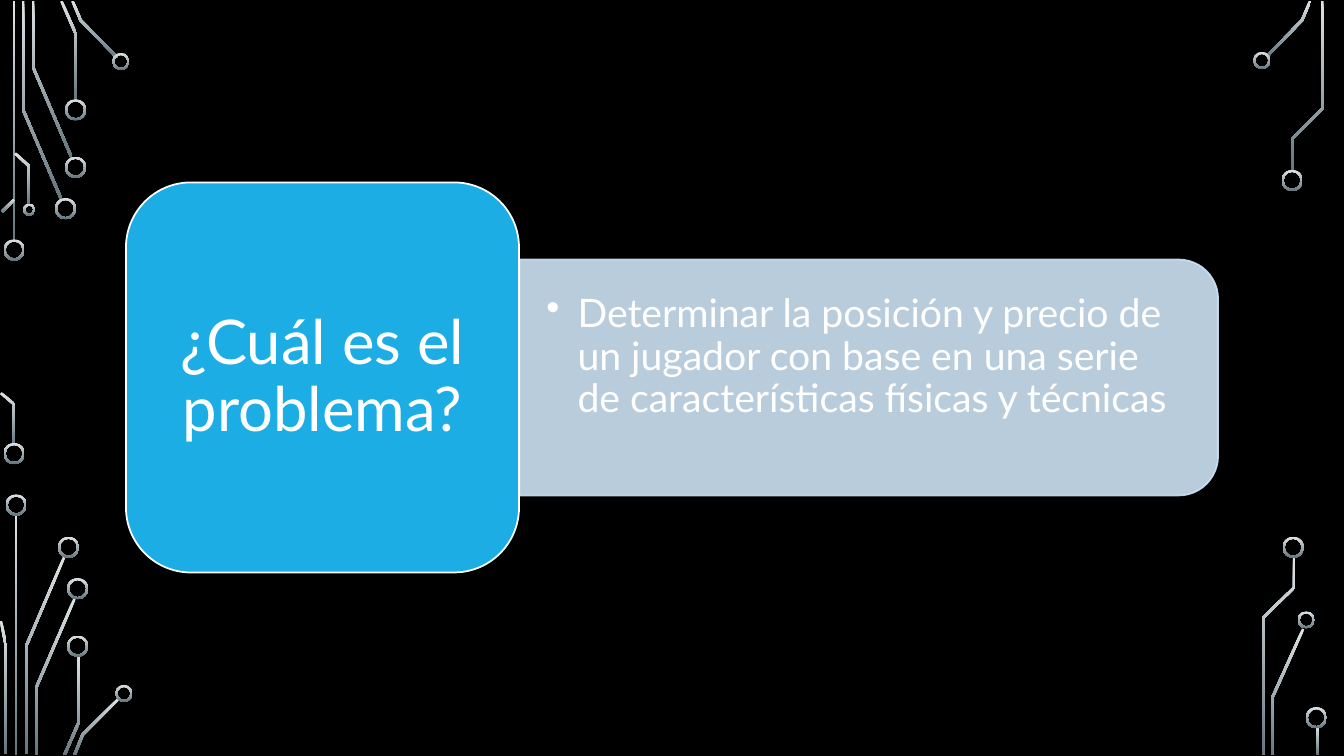
from dataclasses import dataclass
from math import hypot

from lxml import etree
from pptx import Presentation
from pptx.dml.color import RGBColor
from pptx.enum.shapes import MSO_SHAPE
from pptx.enum.text import MSO_ANCHOR, PP_ALIGN
from pptx.oxml.ns import qn
from pptx.util import Cm, Pt

RECTANGLE = MSO_SHAPE.RECTANGLE
DONUT = MSO_SHAPE.DONUT
ROUNDED = MSO_SHAPE.ROUNDED_RECTANGLE
ROUNDED_TOP = MSO_SHAPE.ROUND_2_SAME_RECTANGLE
MIDDLE = MSO_ANCHOR.MIDDLE
LEFT = PP_ALIGN.LEFT
CENTER = PP_ALIGN.CENTER
CM_PER_UNIT = 2.54


@dataclass(frozen=True)
class Theme:
    font: str = "Lato"
    background: str = "000000"
    text: str = "FFFFFF"
    card: str = "1CADE4"
    panel: str = "CDE3F5"
    panel_opacity: int = 90
    circuit_light: str = "DFE3E5"
    circuit_dark: str = "65757D"
    question_size: int = 44
    answer_size: int = 28
    outline: float = 1.25


@dataclass(frozen=True)
class Frame:
    left: float
    top: float
    width: float
    height: float


@dataclass(frozen=True)
class Ring:
    x: float
    y: float
    diameter: float = 0.21


@dataclass(frozen=True)
class Trace:
    points: tuple[tuple[float, float], ...]


THEME = Theme()
TRACE_WIDTH = 0.025
RING_THICKNESS = 0.02

RINGS = (
    Ring(0.14, 2.48), Ring(0.14, 4.5), Ring(0.65, 2.07), Ring(0.75, 1.66),
    Ring(0.75, 1.09), Ring(1.2, 0.61, 0.17), Ring(0.29, 2.08, 0.12),
    Ring(0.16, 5.01), Ring(0.68, 5.43), Ring(0.77, 5.84), Ring(0.77, 6.41),
    Ring(1.23, 6.88, 0.17), Ring(12.52, 0.6, 0.17), Ring(12.82, 1.79),
    Ring(12.96, 6.15, 0.17), Ring(12.83, 5.43), Ring(13.06, 7.12),
)

TRACES = (
    Trace(((0.14, 0.01), (0.14, 2.4))),
    Trace(((0.23, 0.01), (0.23, 1.09), (0.61, 1.98))),
    Trace(((0.33, 0.01), (0.33, 0.67), (0.71, 1.56))),
    Trace(((0.61, 0.01), (0.75, 0.33), (0.75, 1))),
    Trace(((0.72, 0.01), (0.8, 0.2), (1.16, 0.57))),
    Trace(((0.02, 2.1), (0.14, 1.98))),
    Trace(((0.01, 3.9), (0.14, 4.01), (0.14, 4.41))),
    Trace(((0.15, 1.52), (0.29, 1.65), (0.29, 2.03))),
    Trace(((0.16, 5.1), (0.16, 7.49))),
    Trace(((0.64, 5.52), (0.26, 6.41), (0.26, 7.48))),
    Trace(((0.01, 6.16), (0.06, 6.41), (0.06, 7.48))),
    Trace(((0.74, 5.94), (0.36, 6.82), (0.36, 7.49))),
    Trace(((0.78, 6.5), (0.78, 7.17), (0.64, 7.49))),
    Trace(((1.18, 6.93), (0.82, 7.29), (0.74, 7.49))),
    Trace(((12.57, 0.56), (12.92, 0.2), (13, 0.01))),
    Trace(((12.93, 6.24), (12.62, 6.93), (12.62, 7.49))),
    Trace(((13.12, 0.01), (13.12, 1.08), (12.82, 1.38), (12.82, 1.69))),
    Trace(((12.84, 5.52), (12.84, 5.83), (12.53, 6.13), (12.53, 7.49))),
    Trace(((13.07, 7.21), (13.07, 7.49))),
)


def length(units: float) -> int:
    return Cm(units * CM_PER_UNIT)


def color(value: str) -> RGBColor:
    return RGBColor.from_string(value)


def place(frame: Frame) -> tuple[int, int, int, int]:
    return (length(frame.left), length(frame.top),
            length(frame.width), length(frame.height))


def paint_circuit(shape) -> None:
    shape.shadow.inherit = False
    shape.line.fill.background()
    shape.fill.gradient()
    shape.fill.gradient_angle = 270
    for stop, shade in zip(shape.fill.gradient_stops,
                           (THEME.circuit_light, THEME.circuit_dark)):
        stop.color.rgb = color(shade)


def draw_ring(page, ring: Ring) -> None:
    radius = ring.diameter / 2
    shape = page.shapes.add_shape(DONUT, *place(Frame(
        ring.x - radius, ring.y - radius, ring.diameter, ring.diameter)))
    shape.adjustments[0] = RING_THICKNESS / ring.diameter
    paint_circuit(shape)


def ribbon(points: tuple[tuple[float, float], ...]) -> list[tuple[int, int]]:
    normals = []
    for (x1, y1), (x2, y2) in zip(points, points[1:]):
        span = hypot(x2 - x1, y2 - y1)
        normals.append(((y1 - y2) / span, (x2 - x1) / span))
    sides = ([], [])
    for (x, y), before, after in zip(points, normals[:1] + normals,
                                     normals + normals[-1:]):
        sum_x, sum_y = before[0] + after[0], before[1] + after[1]
        scale = TRACE_WIDTH / (sum_x ** 2 + sum_y ** 2)
        for side, sign in zip(sides, (1, -1)):
            side.append((length(x + sign * sum_x * scale),
                         length(y + sign * sum_y * scale)))
    return sides[0] + sides[1][::-1]


def draw_trace(page, trace: Trace) -> None:
    (x1, y1), (x2, y2) = trace.points[0], trace.points[-1]
    if x1 == x2:
        shape = page.shapes.add_shape(RECTANGLE, *place(Frame(
            x1 - TRACE_WIDTH / 2, y1, TRACE_WIDTH, y2 - y1)))
    else:
        corners = ribbon(trace.points)
        builder = page.shapes.build_freeform(*corners[0])
        builder.add_line_segments(corners[1:], close=True)
        shape = builder.convert_to_shape()
    paint_circuit(shape)


def draw_block(page, kind, frame: Frame, *, fill: str, line: str,
               opacity: int = 100, rotation: int = 0) -> None:
    shape = page.shapes.add_shape(kind, *place(frame))
    shape.rotation = rotation
    shape.shadow.inherit = False
    shape.fill.solid()
    shape.fill.fore_color.rgb = color(fill)
    shape.line.color.rgb = color(line)
    shape.line.width = Pt(THEME.outline)
    if opacity < 100:
        for tint in shape._element.spPr.iter(qn("a:srgbClr")):
            etree.SubElement(tint, qn("a:alpha"), val=str(opacity * 1000))


def draw_text(page, frame: Frame, text: str, *, size: int, align,
              insets: tuple[float, float, float, float],
              bullet_indent: float = 0) -> None:
    box = page.shapes.add_textbox(*place(frame)).text_frame
    box.word_wrap = True
    box.vertical_anchor = MIDDLE
    (box.margin_left, box.margin_top,
     box.margin_right, box.margin_bottom) = map(length, insets)
    para = box.paragraphs[0]
    para.alignment = align
    para.line_spacing = 0.9
    span = para.add_run()
    span.text = text
    span.font.name = THEME.font
    span.font.size = Pt(size)
    span.font.color.rgb = color(THEME.text)
    if bullet_indent:
        properties = para._p.get_or_add_pPr()
        properties.set("marL", str(length(bullet_indent)))
        properties.set("indent", str(-length(bullet_indent)))
        etree.SubElement(properties, qn("a:buChar"), char="•")


def main() -> None:
    deck = Presentation()
    deck.slide_width, deck.slide_height = Cm(33.87), Cm(19.05)
    page = deck.slides.add_slide(deck.slide_layouts[6])
    page.background.fill.solid()
    page.background.fill.fore_color.rgb = color(THEME.background)
    for trace in TRACES:
        draw_trace(page, trace)
    for ring in RINGS:
        draw_ring(page, ring)
    draw_block(page, ROUNDED_TOP, Frame(7.45, 0.28, 2.34, 6.93), rotation=90,
               fill=THEME.panel, line=THEME.panel, opacity=THEME.panel_opacity)
    draw_text(page, Frame(5.15, 2.7, 6.82, 2.11),
              "Determinar la posición y precio de un jugador con base en una "
              "serie de características físicas y técnicas",
              size=THEME.answer_size, align=LEFT,
              insets=(0.27, 0.14, 0.27, 0.56), bullet_indent=0.31)
    draw_block(page, ROUNDED, Frame(1.25, 1.81, 3.9, 3.87),
               fill=THEME.card, line=THEME.text)
    draw_text(page, Frame(1.44, 2, 3.52, 3.5), "¿Cuál es el problema?",
              size=THEME.question_size, align=CENTER,
              insets=(0.18, 0.09, 0.18, 0.09))
    deck.save("out.pptx")


if __name__ == "__main__":
    main()
